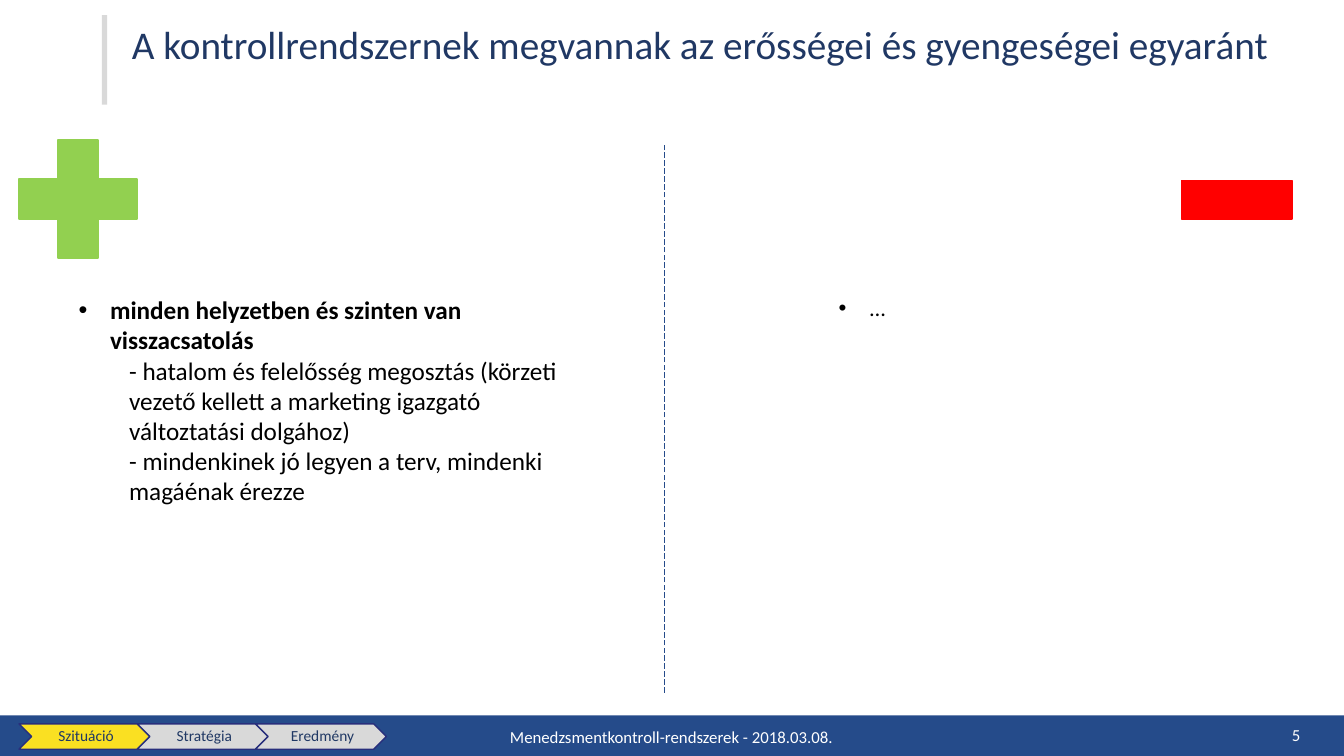
from pptx import Presentation
from pptx import util as u
from pptx.dml.color import RGBColor
from pptx.enum import dml, shapes, text
from pptx.oxml import xmlchemy

# Content
TITLE = "A kontrollrendszernek megvannak az erősségei és gyengeségei egyaránt"
# Each item: text, level, bold
STRENGTHS = [
    ("minden helyzetben és szinten van visszacsatolás", 0, True),
    ("- hatalom és felelősség megosztás (körzeti vezető kellett a marketing "
     "igazgató változtatási dolgához)", 1, False),
    ("- mindenkinek jó legyen a terv, mindenki magáénak érezze", 1, False),
]
WEAKNESSES = [("…", 0, False)]
STEPS = ["Szituáció", "Stratégia", "Eredmény"]
ACTIVE_STEP = 0
FOOTER = "Menedzsmentkontroll-rendszerek - 2018.03.08."
PAGE = "5"

FONT = "Calibri"
COLORS = {"blue": "254B8A", "navy": "203864", "outline": "282F7C",
          "grey": "D9D9D9", "green": "92D050", "red": "FF0000",
          "yellow": "FAE022", "black": "000000", "white": "FFFFFF"}
INDENTS = {0: (0.79, -0.79), 1: (1.27, 0)}  # left margin, first line (cm)

ALIGN = text.PP_ALIGN
ANCHOR = text.MSO_ANCHOR
SHAPE = shapes.MSO_SHAPE


def rgb(name):
    return RGBColor.from_string(COLORS[name])


def place(sp, box):
    sp.left, sp.top, sp.width, sp.height = (u.Cm(v) for v in box)


def add_text(p, content, size=12, color="black", bold=False,
             align=ALIGN.LEFT, spacing=1.0):
    p.alignment, p.line_spacing = align, spacing
    p.space_before = p.space_after = u.Pt(0)
    r = p.add_run()
    r.text = content
    r.font.name, r.font.size, r.font.bold = FONT, u.Pt(size), bold
    r.font.color.rgb = rgb(color)


def set_frame(tf, anchor=ANCHOR.TOP):
    tf.word_wrap, tf.auto_size = True, text.MSO_AUTO_SIZE.NONE
    tf.vertical_anchor = anchor


def add_block(kind, box, fill, line=None):
    sp = s.shapes.add_shape(kind, *(u.Cm(v) for v in box))
    sp.shadow.inherit = False
    sp.fill.solid()
    sp.fill.fore_color.rgb = rgb(fill)
    if line:
        sp.line.color.rgb = rgb(line)
        sp.line.width = u.Pt(1)
    else:
        sp.line.fill.background()
    return sp


def fill_list(sp, box, items, size, spacing):
    place(sp, box)
    tf = sp.text_frame
    set_frame(tf)
    for i, (content, level, bold) in enumerate(items):
        p = tf.add_paragraph() if i else tf.paragraphs[0]
        p.level = level
        add_text(p, content, size=size, bold=bold, spacing=spacing)
        pPr = p._p.get_or_add_pPr()
        for key, value in zip(("marL", "indent"), INDENTS[level]):
            pPr.set(key, str(int(u.Cm(value))))
        if level == 0:
            add_xml(pPr, "a:buFont", typeface="Arial")
            add_xml(pPr, "a:buChar", char="•")
        else:
            add_xml(pPr, "a:buNone")


def add_xml(parent, tag, **attrs):
    child = xmlchemy.OxmlElement(tag)
    for key, value in attrs.items():
        child.set(key, value)
    parent.append(child)


def add_label(box, content, align):
    tf = s.shapes.add_textbox(*(u.Cm(v) for v in box)).text_frame
    set_frame(tf, ANCHOR.MIDDLE)
    add_text(tf.paragraphs[0], content, color="white", align=align)


prs = Presentation()
prs.slide_width, prs.slide_height = u.Cm(33.87), u.Cm(19.05)
s = prs.slides.add_slide(prs.slide_layouts[3])
title, left_list, right_list = s.placeholders

# Footer band and title
add_block(SHAPE.RECTANGLE, (0, 18.03, 33.87, 1.02), "blue")
add_block(SHAPE.RECTANGLE, (2.57, 0.38, 0.13, 2.26), "grey")
place(title, (3.07, 0.51, 29.64, 2.26))
set_frame(title.text_frame)
add_text(title.text_frame.paragraphs[0], TITLE, size=28, color="navy",
         spacing=0.9)

# Plus and minus signs
plus = add_block(SHAPE.CROSS, (0.48, 3.53, 2.97, 2.97), "green", "green")
plus.adjustments[0] = 0.33
add_block(SHAPE.RECTANGLE, (29.77, 4.55, 2.79, 0.97), "red", "red")

# Strengths and weaknesses with the divider between them
fill_list(left_list, (1.73, 7.29, 12.65, 7.04), STRENGTHS, 18, 1.0)
fill_list(right_list, (20.88, 7.37, 12.65, 0.86), WEAKNESSES, 16, 0.9)
divider = s.shapes.add_connector(
    shapes.MSO_CONNECTOR.STRAIGHT,
    u.Cm(16.74), u.Cm(17.45), u.Cm(16.74), u.Cm(3.63))
divider.line.color.rgb = rgb("blue")
divider.line.width = u.Pt(0.5)
divider.line.dash_style = dml.MSO_LINE.LONG_DASH
add_xml(divider._element.spPr, "a:effectLst")

# Progress chevrons
for i, step in enumerate(STEPS):
    chevron = add_block(SHAPE.CHEVRON, (0.48 + i * 2.98, 18.24, 3.3, 0.64),
                        "yellow" if i == ACTIVE_STEP else "grey", "outline")
    tf = chevron.text_frame
    set_frame(tf, ANCHOR.MIDDLE)
    tf.margin_left = u.Cm(0.13)
    tf.margin_right = tf.margin_top = tf.margin_bottom = u.Cm(0.05)
    add_text(tf.paragraphs[0], step, size=11, color="navy",
             align=ALIGN.CENTER, spacing=0.9)

# Footer text and page number
add_label((9.75, 18.06, 14.35, 1.02), FOOTER, ALIGN.CENTER)
add_label((25.4, 18.01, 7.62, 1.02), PAGE, ALIGN.RIGHT)

prs.save("out.pptx")
